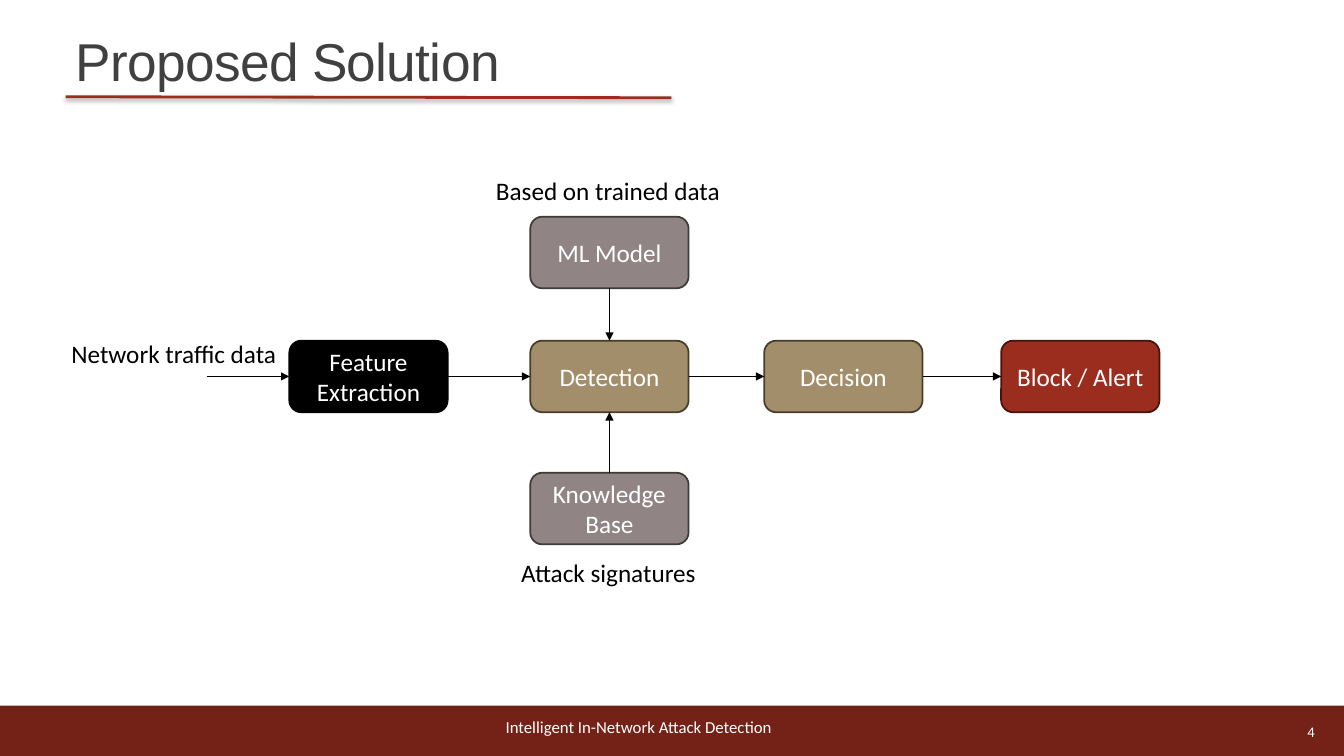
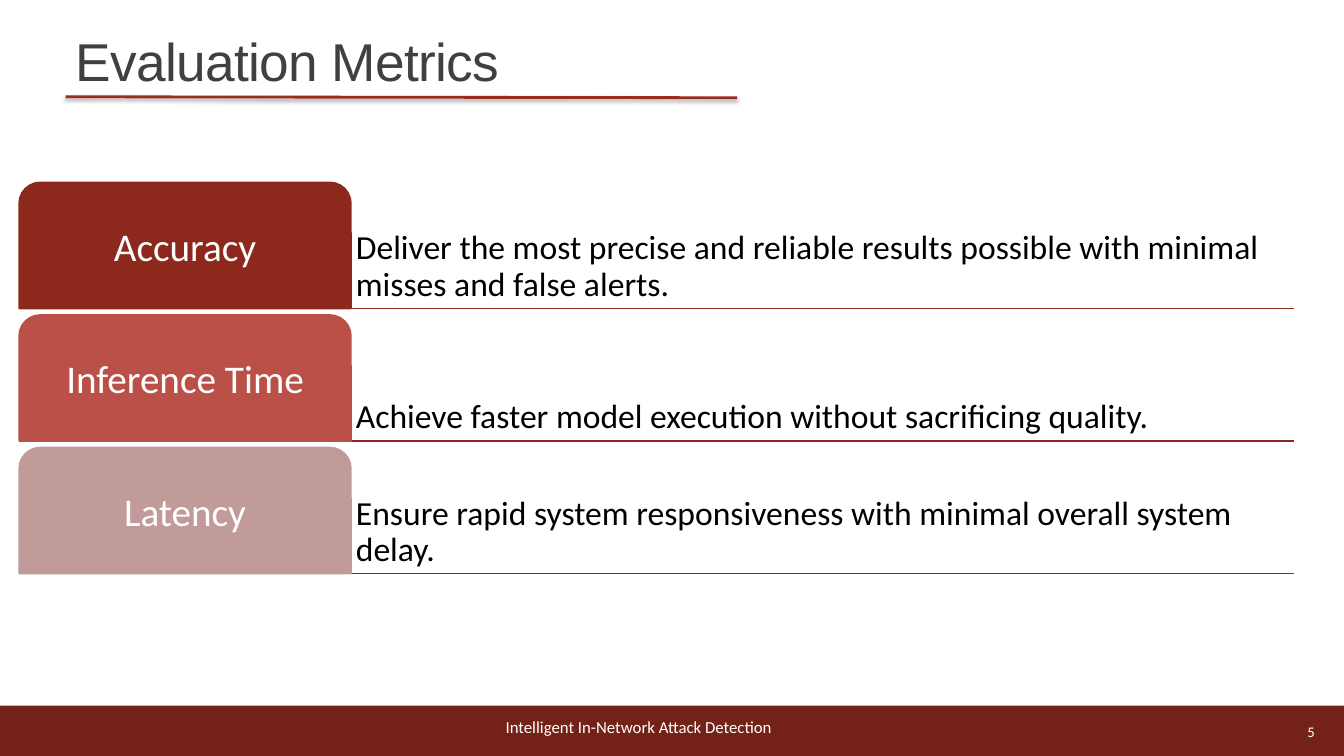
from lxml import etree
from pptx import Presentation
from pptx.dml.color import RGBColor
from pptx.enum.shapes import MSO_CONNECTOR, MSO_SHAPE
from pptx.enum.text import MSO_ANCHOR, MSO_AUTO_SIZE, PP_ALIGN
from pptx.oxml.ns import qn
from pptx.util import Inches, Pt

STRAIGHT = MSO_CONNECTOR.STRAIGHT
RECT, ROUND_RECT = MSO_SHAPE.RECTANGLE, MSO_SHAPE.ROUNDED_RECTANGLE
TAB = MSO_SHAPE.ROUND_2_SAME_RECTANGLE
TOP, MIDDLE, BOTTOM = MSO_ANCHOR.TOP, MSO_ANCHOR.MIDDLE, MSO_ANCHOR.BOTTOM
LEFT, CENTER, RIGHT = PP_ALIGN.LEFT, PP_ALIGN.CENTER, PP_ALIGN.RIGHT
FIT_SHAPE, NO_FIT = MSO_AUTO_SIZE.SHAPE_TO_FIT_TEXT, MSO_AUTO_SIZE.NONE

WHITE, BLACK, TITLE_GREY = "FFFFFF", "000000", "404040"
BAND_RED, ACCENT_RED, RULE_RED = "742217", "9B2D1F", "8D291C"
GREY, GREY_EDGE = "918485", "403A3A"
SAND, SAND_EDGE = "A28E6A", "473E2E"

WIDTH, HEIGHT, BAND_TOP = 13.33, 7.5, 7
FOOTER = "Intelligent In-Network Attack Detection"

# Slide 4: pipeline
BOX_W, BOX_H = 1.57, 0.71
ROW_ML, ROW_MAIN, ROW_BASE = 2.15, 3.38, 4.69
COL_FEATURE, COL_DETECT, COL_DECIDE, COL_ALERT = 2.87, 5.26, 7.58, 9.93
STAGES = [  # label, left, top, fill, edge
    ("ML Model", COL_DETECT, ROW_ML, GREY, GREY_EDGE),
    ("Feature Extraction", COL_FEATURE, ROW_MAIN, BLACK, BLACK),
    ("Detection", COL_DETECT, ROW_MAIN, SAND, SAND_EDGE),
    ("Decision", COL_DECIDE, ROW_MAIN, SAND, SAND_EDGE),
    ("Block / Alert", COL_ALERT, ROW_MAIN, ACCENT_RED, "44140E"),
    ("Knowledge Base", COL_DETECT, ROW_BASE, GREY, GREY_EDGE),
]
SIDE_TOP, SIDE_LEFT, SIDE_BOTTOM, SIDE_RIGHT = range(4)
FLOWS = [  # source, side it leaves, target, side it enters
    ("ML Model", SIDE_BOTTOM, "Detection", SIDE_TOP),
    ("Feature Extraction", SIDE_RIGHT, "Detection", SIDE_LEFT),
    ("Detection", SIDE_RIGHT, "Decision", SIDE_LEFT),
    ("Decision", SIDE_RIGHT, "Block / Alert", SIDE_LEFT),
    ("Knowledge Base", SIDE_TOP, "Detection", SIDE_BOTTOM),
]
INPUT_LEFT = 2.05
NOTES = [  # text, left, top, width
    ("Based on trained data", 4.82, 1.69, 2.45),
    ("Network traffic data", 0.61, 3.31, 2.26),
    ("Attack signatures", 5.07, 5.48, 1.96),
]

# Slide 5: metrics
METRICS = [  # name, goal, tab colour
    ("Accuracy", "Deliver the most precise and reliable results possible "
     "with minimal misses and false alerts.", RULE_RED),
    ("Inference Time", "Achieve faster model execution without sacrificing "
     "quality.", "BA5047"),
    ("Latency", "Ensure rapid system responsiveness with minimal overall "
     "system delay.", "C09B99"),
]
TAB_LEFT, TAB_W, METRIC_H = 0.19, 3.29, 1.25
GOAL_W = 9.35
FIRST_TOP, LAST_TOP = 1.81, 4.44


def rgb(value):
    return RGBColor.from_string(value)


def write(shape, text, size, color, align=LEFT, anchor=TOP, font="Calibri",
          spacing=None, inset=None, **frame_format):
    frame = shape.text_frame
    frame.text = text
    settings = {"word_wrap": True, "vertical_anchor": anchor, **frame_format}
    if inset is not None:
        for side in ("left", "top", "right", "bottom"):
            settings["margin_" + side] = Inches(inset)
    for name, value in settings.items():
        setattr(frame, name, value)
    paragraph = frame.paragraphs[0]
    paragraph.alignment = align
    if spacing:
        paragraph.line_spacing = spacing
    run_font = paragraph.runs[0].font
    for name, value in {"name": font, "size": Pt(size)}.items():
        setattr(run_font, name, value)
    run_font.color.rgb = rgb(color)


def add_text(slide, box, text, size, color, **text_format):
    holder = slide.shapes.add_textbox(*map(Inches, box))
    write(holder, text, size, color, **text_format)


def add_block(slide, kind, box, fill, edge=None):
    block = slide.shapes.add_shape(kind, *map(Inches, box))
    block.shadow.inherit = False
    block.fill.solid()
    block.fill.fore_color.rgb = rgb(fill)
    if edge:
        block.line.color.rgb = rgb(edge)
        block.line.width = Pt(1.25)
    else:
        block.line.fill.background()
    return block


def add_line(slide, start, end, color, weight):
    line = slide.shapes.add_connector(STRAIGHT, *map(Inches, start + end))
    line.line.color.rgb = rgb(color)
    line.line.width = Pt(weight)
    etree.SubElement(line.element.spPr, qn("a:effectLst"))
    return line


def add_arrow(slide, start=(0, 0)):
    arrow = add_line(slide, start, start, BLACK, 1)
    outline = arrow.element.spPr.find(qn("a:ln"))
    etree.SubElement(outline, qn("a:tailEnd"), type="triangle")
    return arrow


def cast_shadow(line):
    effects = line.element.spPr.find(qn("a:effectLst"))
    shadow = etree.SubElement(
        effects, qn("a:outerShdw"), blurRad=str(Pt(3.1)), dist=str(Pt(1.6)),
        dir="5400000", algn="ctr", rotWithShape="0")
    color = etree.SubElement(shadow, qn("a:srgbClr"), val=BLACK)
    etree.SubElement(color, qn("a:alpha"), val="38000")


def prepare_layout(layout, slide):
    """Place the title on the layout and move a band drawn on slide to it."""
    title = layout.placeholders[0]
    place = {"left": 0.65, "top": 0, "width": 12.01, "height": 0.97}
    for name, value in place.items():
        setattr(title, name, Inches(value))
    band = add_block(slide, RECT, (0, BAND_TOP, WIDTH, HEIGHT - BAND_TOP),
                     BAND_RED)
    layout.shapes.element.insert(2, band.element)


def add_frame(slide, title, underline_end, number):
    """Add the title, its underline, the footer and the slide number."""
    heading = slide.shapes.title
    write(heading, title, 38, TITLE_GREY, anchor=BOTTOM, font="Arial",
          spacing=0.85, auto_size=NO_FIT)
    for properties in heading.element.iter(qn("a:rPr")):
        properties.set("spc", "-50")
    cast_shadow(add_line(slide, (0.65, 0.96), (underline_end, 0.97),
                         ACCENT_RED, 2))
    add_text(slide, (3.99, 7.06, 4.69, 0.4), FOOTER, 12, WHITE, align=CENTER)
    add_text(slide, (11.71, 7.06, 1.43, 0.4), str(number), 10.5, WHITE,
             align=RIGHT, anchor=MIDDLE)


def draw_pipeline(slide):
    boxes = {}
    for label, left, top, fill, edge in STAGES:
        box = add_block(slide, ROUND_RECT, (left, top, BOX_W, BOX_H),
                        fill, edge)
        write(box, label, 18, WHITE, align=CENTER, anchor=MIDDLE)
        boxes[label] = box
    for source, exit_side, target, entry_side in FLOWS:
        arrow = add_arrow(slide)
        arrow.begin_connect(boxes[source], exit_side)
        arrow.end_connect(boxes[target], entry_side)
    traffic = add_arrow(slide, (INPUT_LEFT, ROW_MAIN + BOX_H / 2))
    traffic.end_connect(boxes["Feature Extraction"], SIDE_LEFT)
    for text, left, top, width in NOTES:
        add_text(slide, (left, top, width, 0.4), text, 18, BLACK,
                 word_wrap=False, auto_size=FIT_SHAPE)


def draw_metrics(slide):
    pitch = (LAST_TOP - FIRST_TOP) / (len(METRICS) - 1)
    goal_left = TAB_LEFT + TAB_W
    for index, (name, goal, color) in enumerate(METRICS):
        top = FIRST_TOP + index * pitch
        base = top + METRIC_H
        add_line(slide, (TAB_LEFT, base), (goal_left + GOAL_W, base),
                 RULE_RED, 1.25)
        add_text(slide, (goal_left, top, GOAL_W, METRIC_H), goal, 24, BLACK,
                 anchor=BOTTOM, spacing=0.9, inset=0.05)
        tab = add_block(slide, TAB, (TAB_LEFT, top, TAB_W, METRIC_H),
                        color, color)
        write(tab, name, 28, WHITE, align=CENTER, anchor=MIDDLE,
              spacing=0.9, inset=0.06)


SLIDES = [  # title, underline end, number, drawing
    ("Proposed Solution", 6.66, 4, draw_pipeline),
    ("Evaluation Metrics", 7.31, 5, draw_metrics),
]


def main():
    deck = Presentation()
    deck.slide_width, deck.slide_height = Inches(WIDTH), Inches(HEIGHT)
    layout = deck.slide_layouts.get_by_name("Title Only")
    slides = [deck.slides.add_slide(layout) for _ in SLIDES]
    prepare_layout(layout, slides[0])
    for slide, (title, underline_end, number, draw) in zip(slides, SLIDES):
        add_frame(slide, title, underline_end, number)
        draw(slide)
    deck.save("out.pptx")


if __name__ == "__main__":
    main()
